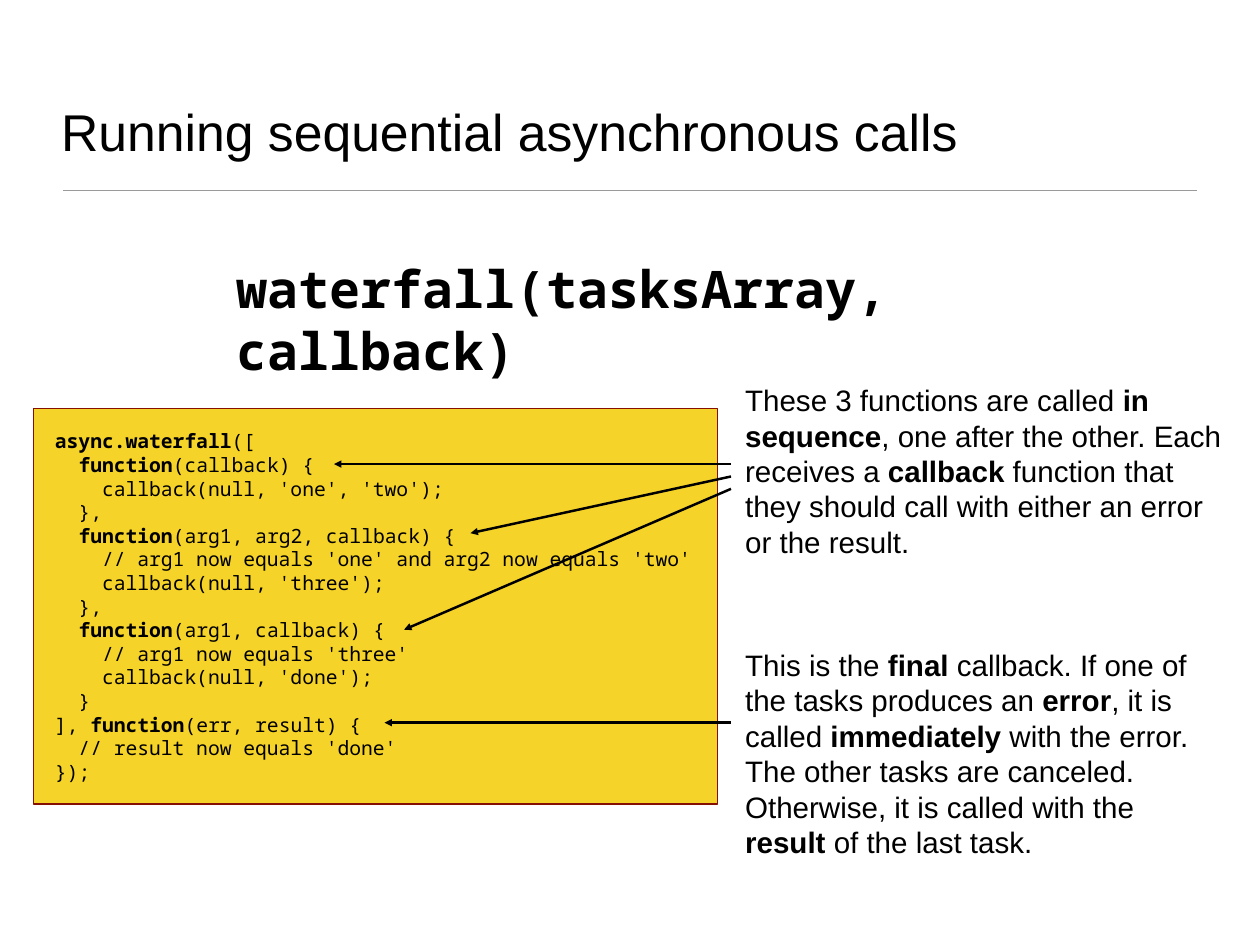
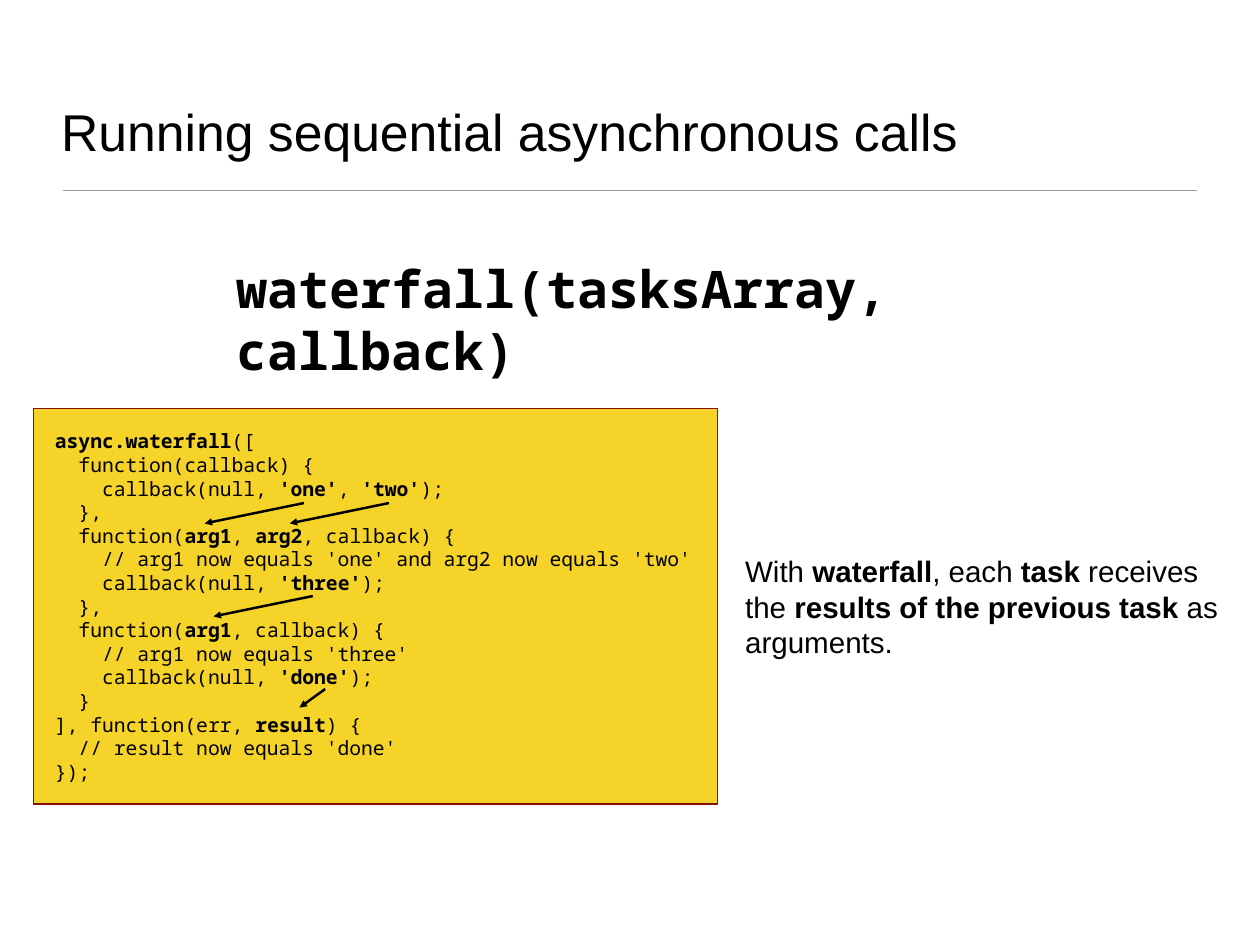
"""Build two slides that explain async waterfall calls."""
from dataclasses import dataclass

from lxml.etree import SubElement
from pptx import Presentation
from pptx.dml.color import RGBColor
from pptx.enum.shapes import MSO_CONNECTOR as Connector, MSO_SHAPE as Shape
from pptx.enum.text import MSO_ANCHOR as Anchor, MSO_AUTO_SIZE as AutoSize, PP_ALIGN as Align
from pptx.oxml.ns import qn
from pptx.util import Inches, Pt

COLORS = {"text": "000000", "rule": "9A9A9A", "code_fill": "F5D328", "code_line": "851001"}
SANS = "Arial"
MONO = "Noto Sans Mono"
TITLE = "Running sequential asynchronous calls"
SIGNATURE = "*waterfall(tasksArray, callback)*"
FUNCTION_MARK = "*"
DATA_MARK = "_"

CODE = """*_async.waterfall_*([
  *function*(callback) {
    callback(null, _'one'_, _'two'_);
  },
  *function*(_arg1_, _arg2_, callback) {
    // arg1 now equals 'one' and arg2 now equals 'two'
    callback(null, _'three'_);
  },
  *function*(_arg1_, callback) {
    // arg1 now equals 'three'
    callback(null, _'done'_);
  }
], *function*(err, _result_) {
  // result now equals 'done'
});"""


@dataclass(frozen=True)
class Box:
    left: float
    top: float
    width: float
    height: float

    def lengths(self) -> tuple:
        return tuple(Inches(value) for value in (self.left, self.top, self.width, self.height))


@dataclass(frozen=True)
class Style:
    font: str
    size: int
    inset: float = 0.06
    anchor: Anchor = Anchor.MIDDLE


@dataclass(frozen=True)
class Note:
    top: float
    height: float
    text: str


@dataclass(frozen=True)
class Arrow:
    start: tuple[float, float]
    end: tuple[float, float]


@dataclass(frozen=True)
class Page:
    bold_mark: str
    notes: tuple[Note, ...]
    arrows: tuple[Arrow, ...]


TITLE_BOX = Box(0.63, 0.36, 12.97, 1.53)
CODE_BOX = Box(0.38, 4.61, 7.72, 4.47)
SIGNATURE_BOX = Box(2.61, 3.2, 8.99, 0.81)
NOTE_LEFT, NOTE_WIDTH = 8.35, 5.5
ARROW_LEFT = 8.25
TITLE_STYLE = Style(SANS, 42, anchor=Anchor.BOTTOM)
NOTE_STYLE = Style(SANS, 24)
SIGNATURE_STYLE = Style(MONO, 42)
CODE_STYLE = Style(MONO, 16, inset=0.24)

PAGES = (
    Page(
        FUNCTION_MARK,
        (
            Note(4.26, 2.11, "These 3 functions are called *in sequence*, one after the other. "
                 "Each receives a *callback* function that they should call with either "
                 "an error or the result."),
            Note(7.25, 2.51, "This is the *final *callback. If one of the tasks produces an "
                 "*error*, it is called *immediately *with the error. The other tasks are "
                 "canceled. Otherwise, it is called with the *result* of the last task."),
        ),
        (
            Arrow((ARROW_LEFT, 5.24), (3.77, 5.24)),
            Arrow((ARROW_LEFT, 5.38), (5.31, 6.02)),
            Arrow((ARROW_LEFT, 5.52), (4.56, 7.11)),
            Arrow((ARROW_LEFT, 8.16), (4.34, 8.16)),
        ),
    ),
    Page(
        DATA_MARK,
        (
            Note(6.19, 1.31, "With *waterfall*, each *task* receives the "
                 "*results of the previous task* as arguments."),
        ),
        (
            Arrow((3.43, 5.68), (2.31, 5.91)),
            Arrow((4.39, 5.68), (3.27, 5.91)),
            Arrow((3.53, 6.73), (2.41, 6.96)),
            Arrow((3.67, 7.78), (3.38, 7.99)),
        ),
    ),
)


def color(name: str) -> RGBColor:
    return RGBColor.from_string(COLORS[name])


def write_text(shape, text: str, style: Style, bold_mark: str = FUNCTION_MARK) -> None:
    frame = shape.text_frame
    frame.word_wrap = True
    frame.auto_size = AutoSize.NONE
    frame.vertical_anchor = style.anchor
    frame.margin_left = frame.margin_right = Inches(style.inset)
    frame.margin_top = frame.margin_bottom = Inches(style.inset)
    for row, line in enumerate(text.split("\n")):
        paragraph = frame.add_paragraph() if row else frame.paragraphs[0]
        paragraph.alignment = Align.LEFT
        for position, part in enumerate(line.split(bold_mark)):
            if not part:
                continue
            run = paragraph.add_run()
            run.text = part
            run.font.name = style.font
            run.font.size = Pt(style.size)
            run.font.bold = position % 2 == 1
            run.font.color.rgb = color("text")


def add_line(slide, start: tuple[float, float], end: tuple[float, float],
             color_name: str, width: float):
    points = [Inches(value) for value in (*start, *end)]
    line = slide.shapes.add_connector(Connector.STRAIGHT, *points)
    line.line.color.rgb = color(color_name)
    line.line.width = Pt(width)
    SubElement(line.element.spPr, qn("a:effectLst"))
    return line


def add_arrow(slide, arrow: Arrow) -> None:
    line = add_line(slide, arrow.start, arrow.end, "text", 2)
    SubElement(line.line._get_or_add_ln(), qn("a:tailEnd"), type="triangle")


def add_text(slide, box: Box, text: str, style: Style) -> None:
    write_text(slide.shapes.add_textbox(*box.lengths()), text, style)


def add_code(slide, bold_mark: str) -> None:
    shape = slide.shapes.add_shape(Shape.RECTANGLE, *CODE_BOX.lengths())
    shape.shadow.inherit = False
    shape.fill.solid()
    shape.fill.fore_color.rgb = color("code_fill")
    shape.line.color.rgb = color("code_line")
    shape.line.width = Pt(1)
    plain_mark = DATA_MARK if bold_mark == FUNCTION_MARK else FUNCTION_MARK
    write_text(shape, CODE.replace(plain_mark, ""), CODE_STYLE, bold_mark)


def prepare_layout(layout, slide) -> None:
    title = layout.placeholders[0]
    title.left, title.top, title.width, title.height = TITLE_BOX.lengths()
    rule = add_line(slide, (0.71, 2.15), (13.51, 2.15), "rule", 1)
    layout.shapes.element.append(rule.element)


def add_page(slide, page: Page) -> None:
    write_text(slide.shapes.title, TITLE, TITLE_STYLE)
    add_code(slide, page.bold_mark)
    add_text(slide, SIGNATURE_BOX, SIGNATURE, SIGNATURE_STYLE)
    for note in page.notes:
        add_text(slide, Box(NOTE_LEFT, note.top, NOTE_WIDTH, note.height), note.text, NOTE_STYLE)
    for arrow in page.arrows:
        add_arrow(slide, arrow)


def main() -> None:
    presentation = Presentation()
    presentation.slide_width = Inches(14.22)
    presentation.slide_height = Inches(10.67)
    layout = presentation.slide_layouts[5]
    slides = [presentation.slides.add_slide(layout) for _ in PAGES]
    prepare_layout(layout, slides[0])
    for slide, page in zip(slides, PAGES):
        add_page(slide, page)
    presentation.save("out.pptx")


if __name__ == "__main__":
    main()
